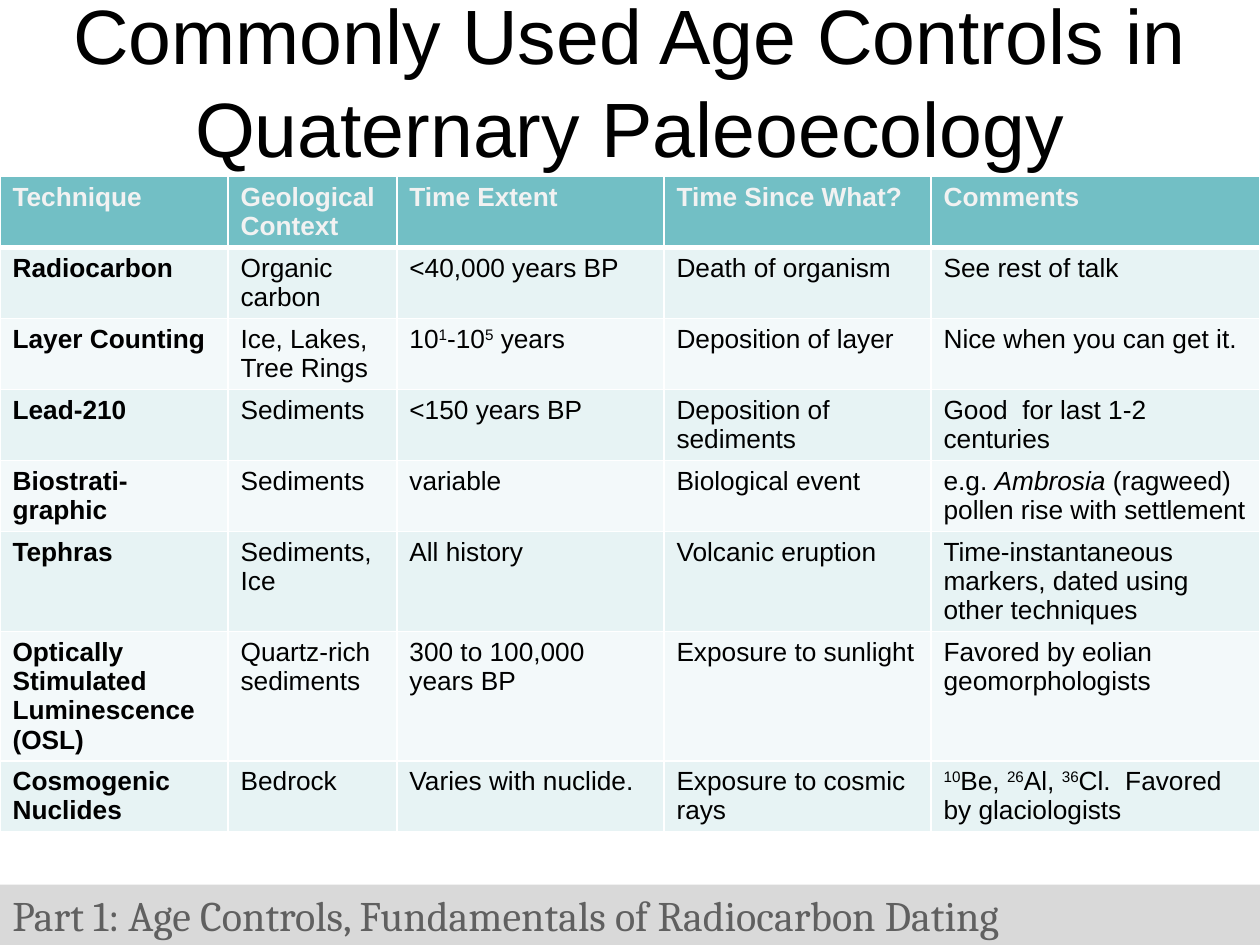
from lxml.etree import SubElement
from pptx import Presentation
from pptx.dml.color import RGBColor
from pptx.enum.shapes import MSO_SHAPE as Shape
from pptx.enum.text import MSO_ANCHOR as Anchor, MSO_AUTO_SIZE as AutoSize, PP_ALIGN as Align
from pptx.oxml.ns import qn
from pptx.util import Inches, Pt

COLORS = {
    "text": "000000", "header_text": "F2F2F2", "header": "72BFC5",
    "band_dark": "E7F3F4", "band_light": "F3F9FA", "border": "FFFFFF",
    "footer": "D9D9D9", "footer_text": "606060",
}
COLUMN_WIDTHS = [1.81, 1.34, 2.12, 2.12, 2.61]
ROW_HEIGHT = 0.41
ROWS = [
    ["Technique", "Geological Context", "Time Extent", "Time Since What?", "Comments"],
    ["Radiocarbon", "Organic carbon", "<40,000 years BP", "Death of organism",
     "See rest of talk"],
    ["Layer Counting", "Ice, Lakes, Tree Rings",
     [("10", ""), ("1", "super"), ("-10", ""), ("5", "super"), (" years", "")],
     "Deposition of layer", "Nice when you can get it."],
    ["Lead-210", "Sediments", "<150 years BP", "Deposition of sediments",
     "Good  for last 1-2 centuries"],
    ["Biostrati-graphic", "Sediments", "variable", "Biological event",
     [("e.g. ", ""), ("Ambrosia", "italic"), (" (ragweed) pollen rise with settlement", "")]],
    ["Tephras", "Sediments, Ice", "All history", "Volcanic eruption",
     "Time-instantaneous markers, dated using other techniques"],
    ["Optically Stimulated Luminescence (OSL)", "Quartz-rich sediments",
     "300 to 100,000 years BP", "Exposure to sunlight", "Favored by eolian geomorphologists"],
    ["Cosmogenic Nuclides", "Bedrock", "Varies with nuclide.", "Exposure to cosmic rays",
     [("10", "super"), ("Be, ", ""), ("26", "super"), ("Al, ", ""), ("36", "super"),
      ("Cl.  Favored by glaciologists", "")]],
]


def rgb(name):
    """Return the named palette colour."""
    return RGBColor.from_string(COLORS[name])


def write(paragraph, content, color, **values):
    """Fill a paragraph with plain text or styled pieces in one font."""
    pieces = [(content, "")] if isinstance(content, str) else content
    for text, style in pieces:
        run = paragraph.add_run()
        run.text = text
        for key, value in values.items():
            setattr(run.font, key, value)
        run.font.color.rgb = rgb(color)
        if style == "italic":
            run.font.italic = True
        elif style == "super":
            run._r.get_or_add_rPr().set("baseline", "30000")


def add_borders(cell, bottom):
    """Give a cell borders of one point, with its own bottom width."""
    properties = cell._tc.get_or_add_tcPr()
    for tag, width in {"lnL": 1, "lnR": 1, "lnT": 1, "lnB": bottom}.items():
        line = SubElement(properties, qn(f"a:{tag}"), w=str(Pt(width)))
        fill = SubElement(line, qn("a:solidFill"))
        SubElement(fill, qn("a:srgbClr"), val=COLORS["border"])


def format_cell(cell, content, row, column):
    """Style one cell by its place in the table."""
    header = row == 0
    add_borders(cell, 3 if header else 1)
    band = "header" if header else "band_dark" if row % 2 else "band_light"
    cell.fill.solid()
    cell.fill.fore_color.rgb = rgb(band)
    write(cell.text_frame.paragraphs[0], content, "header_text" if header else "text",
          name="Arial", size=Pt(15), bold=header or column == 0)


def add_age_table(slide):
    """Add the table of age controls."""
    table = slide.shapes.add_table(
        len(ROWS), len(COLUMN_WIDTHS), Inches(0), Inches(1.4),
        Inches(sum(COLUMN_WIDTHS)), Inches(ROW_HEIGHT * len(ROWS))).table
    for column, width in zip(table.columns, COLUMN_WIDTHS):
        column.width = Inches(width)
    for row, contents in enumerate(ROWS):
        for column, content in enumerate(contents):
            format_cell(table.cell(row, column), content, row, column)


def set_title(slide, text):
    """Place and format the title."""
    title = slide.shapes.title
    place = {"left": 0, "top": 0, "width": 10, "height": 1.27}
    for key, value in place.items():
        setattr(title, key, Inches(value))
    frame = title.text_frame
    frame.auto_size = AutoSize.NONE
    frame.vertical_anchor = Anchor.MIDDLE
    paragraph = frame.paragraphs[0]
    paragraph.alignment = Align.CENTER
    write(paragraph, text, "text", name="Arial", size=Pt(44))


def add_footer(slide, text):
    """Add the section bar at the foot of the slide."""
    bar = slide.shapes.add_shape(
        Shape.RECTANGLE, Inches(0), Inches(7.02), Inches(10), Inches(0.48))
    bar.shadow.inherit = False
    bar.fill.solid()
    bar.fill.fore_color.rgb = rgb("footer")
    bar.line.fill.background()
    bar.text_frame.vertical_anchor = Anchor.MIDDLE
    paragraph = bar.text_frame.paragraphs[0]
    paragraph.alignment = Align.LEFT
    write(paragraph, text, "footer_text", name="Cambria", size=Pt(24))


def main():
    """Build and save the slide."""
    presentation = Presentation()
    presentation.slide_width = Inches(10)
    presentation.slide_height = Inches(7.5)
    slide = presentation.slides.add_slide(presentation.slide_layouts[5])
    add_footer(slide, "Part 1: Age Controls, Fundamentals of Radiocarbon Dating")
    set_title(slide, "Commonly Used Age Controls in Quaternary Paleoecology")
    add_age_table(slide)
    presentation.save("out.pptx")


if __name__ == "__main__":
    main()
